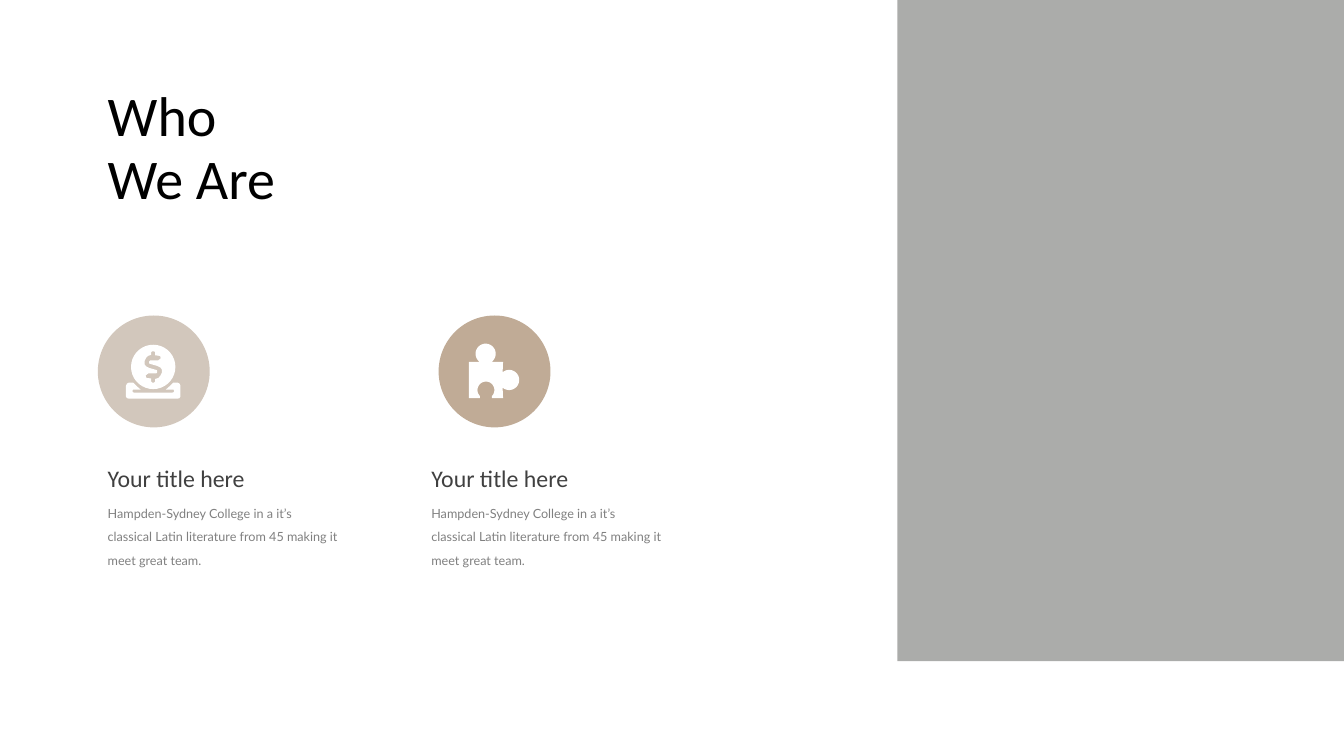
from dataclasses import dataclass
from math import cos, radians, sin

from pptx import Presentation
from pptx.dml.color import RGBColor as RGB
from pptx.enum.shapes import MSO_SHAPE as SHAPE
from pptx.enum.text import MSO_AUTO_SIZE as AUTO_SIZE
from pptx.util import Inches, Pt


@dataclass(frozen=True)
class Theme:
    panel: str = "ABACAA"
    sand: str = "D2C7BC"
    tan: str = "C0AB96"
    icon: str = "FFFFFF"
    title: str = "000000"
    heading: str = "404040"
    body: str = "808080"
    head_font: str = "Calibri"
    body_font: str = "Lato"
    title_size: int = 40
    heading_size: int = 17
    body_size: int = 9


theme = Theme()


def add_text(box, lines, font, size, color, spacing=None):
    sp = slide.shapes.add_textbox(*map(Inches, box))
    tf = sp.text_frame
    tf.word_wrap = True
    tf.auto_size = AUTO_SIZE.SHAPE_TO_FIT_TEXT
    tf.text = "\n".join(lines)
    for p in tf.paragraphs:
        if spacing:
            p.line_spacing = Pt(spacing)
        for r in p.runs:
            r.font.name = font
            r.font.size = Pt(size)
            r.font.color.rgb = RGB.from_string(color)


def arc(cx, cy, radius, start, end, steps=36):
    angles = [radians(start + (end - start) * i / steps) for i in range(steps + 1)]
    return [(cx + radius * cos(a), cy + radius * sin(a)) for a in angles]


prs = Presentation()
prs.slide_width, prs.slide_height = Inches(13.33), Inches(7.5)
slide = prs.slides.add_slide(prs.slide_layouts[6])

# Photo panel
sp = slide.shapes.add_shape(SHAPE.RECTANGLE, Inches(8.9), 0, Inches(4.44), Inches(6.56))
sp.shadow.inherit = False
sp.fill.solid()
sp.fill.fore_color.rgb = RGB.from_string(theme.panel)
sp.line.fill.background()

# Title
add_text((0.97, 0.79, 4.38, 1.36), ["Who", "We Are"],
         theme.head_font, theme.title_size, theme.title, 45)

# Coin icon, in hundredths of an inch from the coin centre
dollar_half = [(1, -15.5), (2, -14.5), (2, -11.5), (6, -11), (7, -10.5), (7.5, -8.5),
               (5, -6.5), (-3, -6.5), (-4, -5.5), (-4, -3.5), (-3, -3), (4, -1),
               (7, 0.5), (8.5, 2.5), (8.5, 6), (7, 9), (5, 11), (2, 12),
               (2, 14.5), (1, 15.5)]
dollar = dollar_half + [(-x, -y) for x, y in dollar_half]
tray_half = [(-19, 25.5), (-20.5, 25), (-20.5, 23), (-20, 22.5), (-12.5, 22.5),
             (-17, 18.5), (-20, 15.5), (-24, 15.5), (-26, 16.5), (-27, 18.5),
             (-27, 29.5), (-26, 31), (-24, 31.5)]
tray = tray_half + [(-x, y) for x, y in reversed(tray_half)]
coin = [dollar, arc(0, 0, 22, 0, 360), tray]

# Puzzle icon, in hundredths of an inch from its top left corner
puzzle = [[(0, 18), *arc(16.7, 10, 10, 125, 415),
           (34, 18), *arc(40, 36, 10, -130, 130),
           (34, 54), (23, 54), *arc(17, 46, 8.4, 45, -225), (11, 54), (0, 54)]]

# Columns: circle left, circle colour, icon contours, icon origin, text left
columns = [
    (0.97, theme.sand, coin, (1.52, 3.64), 0.97),
    (4.35, theme.tan, puzzle, (4.65, 3.41), 4.18),
]
for left, color, contours, (ox, oy), text_left in columns:
    # Badge with icon
    badge = slide.shapes.add_group_shape().shapes
    circle = badge.add_shape(SHAPE.OVAL, Inches(left), Inches(3.13),
                             Inches(1.11), Inches(1.11))
    first, *others = [[(Inches(ox + x / 100), Inches(oy + y / 100)) for x, y in c]
                      for c in contours]
    builder = badge.build_freeform(*first[0])
    builder.add_line_segments(first[1:])
    for contour in others:
        builder.move_to(*contour[0])
        builder.add_line_segments(contour[1:])
    icon = builder.convert_to_shape()
    for sp, fill in ((circle, color), (icon, theme.icon)):
        sp.shadow.inherit = False
        sp.fill.solid()
        sp.fill.fore_color.rgb = RGB.from_string(fill)
        sp.line.fill.background()

    # Heading and body
    add_text((text_left, 4.55, 2.6, 0.39), ["Your title here"],
             theme.head_font, theme.heading_size, theme.heading)
    add_text((text_left, 4.88, 2.6, 0.78),
             ["Hampden-Sydney College in a it’s",
              "classical Latin literature from 45 making it meet great team."],
             theme.body_font, theme.body_size, theme.body, 17)

prs.save("out.pptx")
